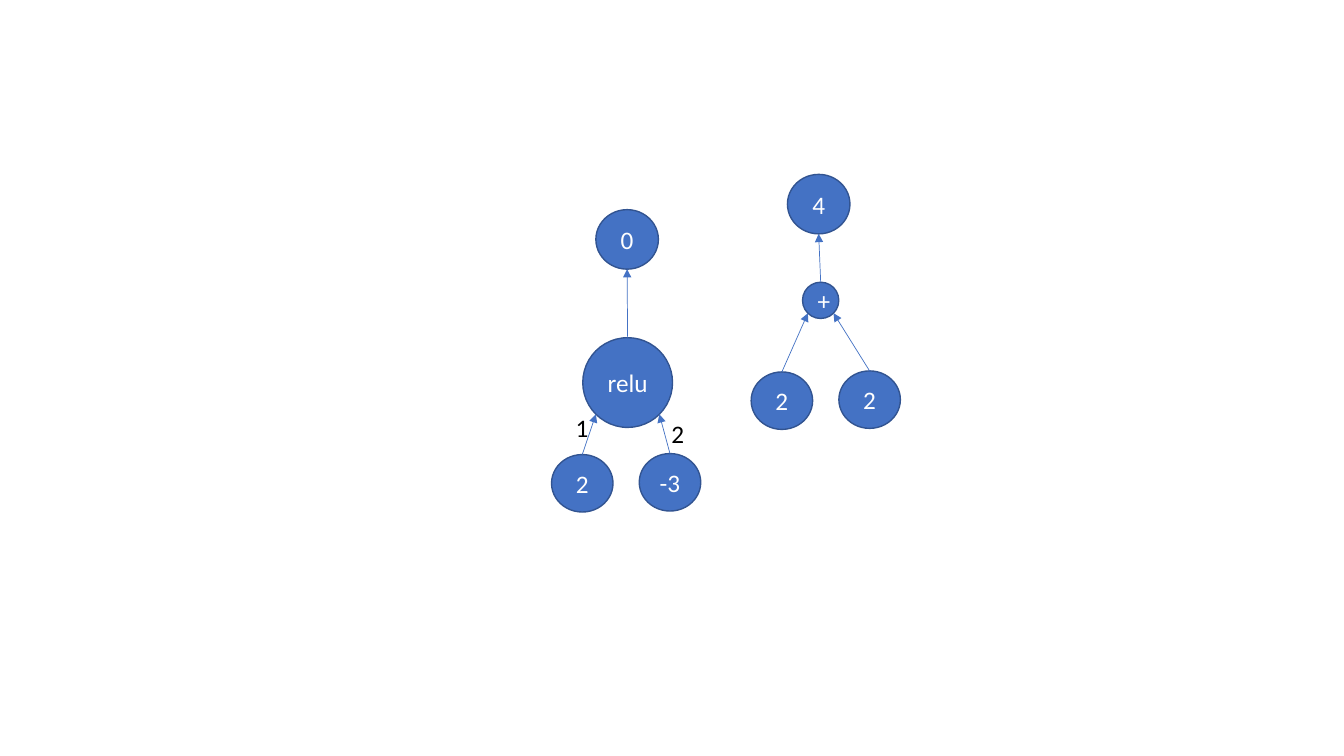
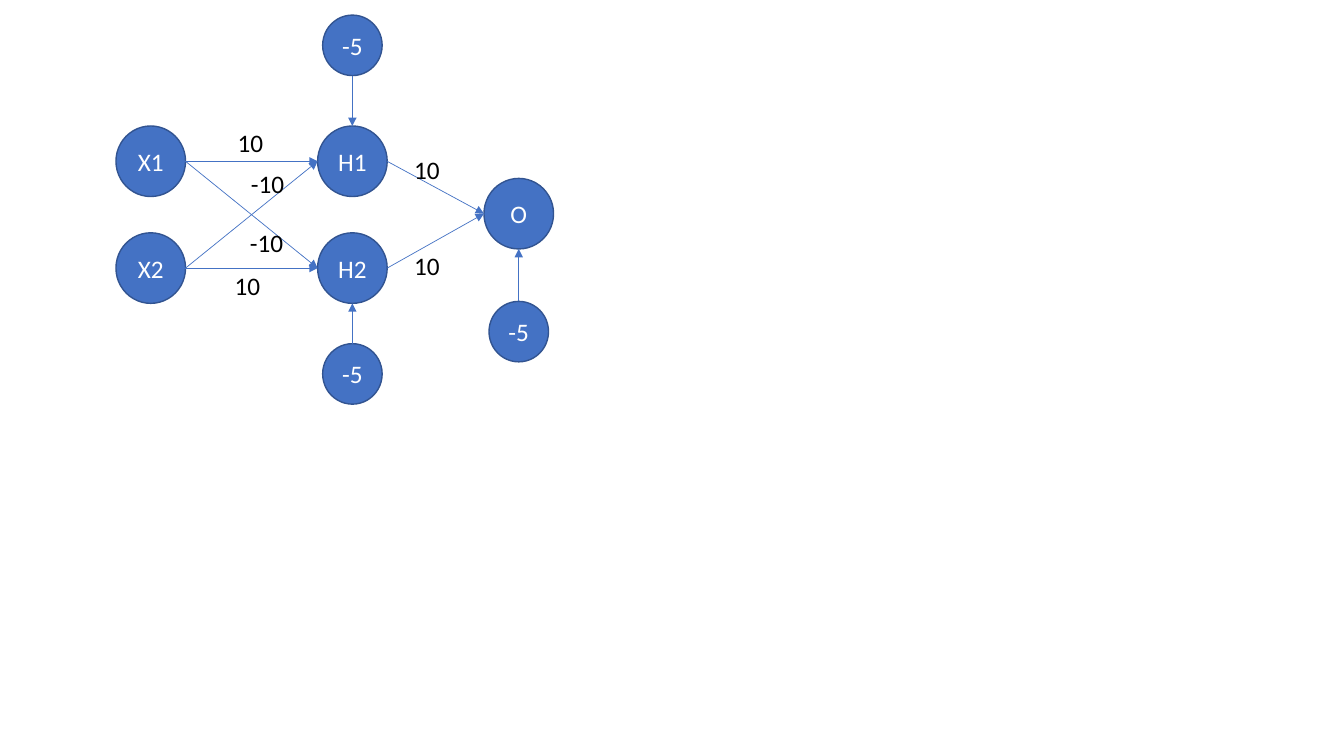
from dataclasses import dataclass
from math import cos, radians, sin

from lxml.etree import SubElement
from pptx import Presentation
from pptx.dml.color import RGBColor
from pptx.enum.shapes import MSO_CONNECTOR, MSO_SHAPE
from pptx.enum.text import MSO_ANCHOR, MSO_AUTO_SIZE, PP_ALIGN
from pptx.oxml.ns import qn
from pptx.util import Inches, Pt


@dataclass(frozen=True)
class Theme:
    node_fill: RGBColor = RGBColor(0x44, 0x72, 0xC4)
    node_outline: RGBColor = RGBColor(0x32, 0x54, 0x91)
    node_text: RGBColor = RGBColor(0xFF, 0xFF, 0xFF)
    label_text: RGBColor = RGBColor(0x00, 0x00, 0x00)
    font: str = "Calibri"
    text_size: Pt = Pt(18)
    outline_width: Pt = Pt(1)
    arrow_width: Pt = Pt(0.5)


THEME = Theme()

# Width and height of each node type, in inches
INPUT = (0.61, 0.57)
RESULT = (0.62, 0.59)
RELU = (0.89, 0.89)
PLUS = (0.36, 0.36)
NEURON = (0.69, 0.70)
BIAS = (0.59, 0.60)

LABEL_HEIGHT = 0.40
LABEL_WIDTHS = {"1": 0.33, "2": 0.33, "10": 0.46, "-10": 0.54}

# Clockwise from the right, in degrees
SITE_ANGLES = {
    "right": 0, "bottom right": 45, "bottom": 90, "bottom left": 135,
    "left": 180, "top": 270,
}


def write_text(shape, text, *, color, align=PP_ALIGN.LEFT,
               anchor=MSO_ANCHOR.TOP, wrap=True, auto_size=MSO_AUTO_SIZE.NONE):
    frame = shape.text_frame
    frame.word_wrap = wrap
    frame.auto_size = auto_size
    frame.vertical_anchor = anchor
    paragraph = frame.paragraphs[0]
    paragraph.alignment = align
    run = paragraph.add_run()
    run.text = text
    run.font.name = THEME.font
    run.font.size = THEME.text_size
    run.font.color.rgb = color


def outline_point(node, site):
    """Return x and y of a named site on the ellipse of a node."""
    angle = radians(SITE_ANGLES[site])
    x = node.left + node.width / 2 * (1 + cos(angle))
    y = node.top + node.height / 2 * (1 + sin(angle))
    return round(x), round(y)


# Nodes: name -> text, left, top, size
# Arrows: start node, start site, end node, end site
# Labels: text, left, top
INPUT_X, HIDDEN_X, OUTPUT_X = 1.15, 3.15, 4.80
UPPER_Y, LOWER_Y = 1.25, 2.31
BIAS_INDENT = (NEURON[0] - BIAS[0]) / 2

diagrams = [
    {
        "nodes": {
            "relu left": ("2", 5.47, 4.51, INPUT),
            "relu right": ("-3", 6.34, 4.50, INPUT),
            "relu": ("relu", 5.78, 3.35, RELU),
            "relu result": ("0", 5.91, 2.08, RESULT),
            "sum left": ("2", 7.45, 3.69, INPUT),
            "sum right": ("2", 8.32, 3.68, INPUT),
            "sum": ("+", 7.96, 2.80, PLUS),
            "sum result": ("4", 7.81, 1.73, RESULT),
        },
        "arrows": [
            arrow
            for unit in ("relu", "sum")
            for arrow in (
                (f"{unit} left", "top", unit, "bottom left"),
                (f"{unit} right", "top", unit, "bottom right"),
                (unit, "top", f"{unit} result", "bottom"),
            )
        ],
        "labels": [("1", 5.61, 4.04), ("2", 6.56, 4.10)],
    },
    {
        "nodes": {
            "X1": ("X1", INPUT_X, UPPER_Y, NEURON),
            "X2": ("X2", INPUT_X, LOWER_Y, NEURON),
            "H1": ("H1", HIDDEN_X, UPPER_Y, NEURON),
            "H2": ("H2", HIDDEN_X, LOWER_Y, NEURON),
            "O": ("O", OUTPUT_X, 1.77, NEURON),
            "H1 bias": ("-5", HIDDEN_X + BIAS_INDENT, 0.15, BIAS),
            "H2 bias": ("-5", HIDDEN_X + BIAS_INDENT, 3.41, BIAS),
            "O bias": ("-5", OUTPUT_X + BIAS_INDENT, 2.99, BIAS),
        },
        "arrows": [
            *[(start, "right", end, "left")
              for starts, ends in ((("X1", "X2"), ("H1", "H2")),
                                   (("H1", "H2"), ("O",)))
              for start in starts
              for end in ends],
            ("H1 bias", "bottom", "H1", "top"),
            ("H2 bias", "top", "H2", "bottom"),
            ("O bias", "top", "O", "bottom"),
        ],
        "labels": [
            ("10", 2.26, 1.21), ("10", 2.23, 2.63),
            ("-10", 2.39, 1.62), ("-10", 2.38, 2.21),
            ("10", 4.01, 1.48), ("10", 4.01, 2.43),
        ],
    },
]

presentation = Presentation()
presentation.slide_width = Inches(13.33)
presentation.slide_height = Inches(7.5)
blank_layout = presentation.slide_layouts[6]

for diagram in diagrams:
    slide = presentation.slides.add_slide(blank_layout)

    nodes = {}
    for name, (text, left, top, (width, height)) in diagram["nodes"].items():
        node = slide.shapes.add_shape(
            MSO_SHAPE.OVAL, Inches(left), Inches(top), Inches(width), Inches(height))
        node.shadow.inherit = False
        node.fill.solid()
        node.fill.fore_color.rgb = THEME.node_fill
        node.line.color.rgb = THEME.node_outline
        node.line.width = THEME.outline_width
        write_text(node, text, color=THEME.node_text,
                   align=PP_ALIGN.CENTER, anchor=MSO_ANCHOR.MIDDLE)
        nodes[name] = node

    for start, start_site, end, end_site in diagram["arrows"]:
        arrow = slide.shapes.add_connector(
            MSO_CONNECTOR.STRAIGHT,
            *outline_point(nodes[start], start_site),
            *outline_point(nodes[end], end_site))
        arrow.line.color.rgb = THEME.node_fill
        arrow.line.width = THEME.arrow_width
        properties = arrow.element.find(qn("p:spPr"))
        SubElement(properties.find(qn("a:ln")), qn("a:tailEnd"), type="triangle")
        SubElement(properties, qn("a:effectLst"))

    for text, left, top in diagram["labels"]:
        label = slide.shapes.add_textbox(
            Inches(left), Inches(top), Inches(LABEL_WIDTHS[text]), Inches(LABEL_HEIGHT))
        write_text(label, text, color=THEME.label_text, wrap=False,
                   auto_size=MSO_AUTO_SIZE.SHAPE_TO_FIT_TEXT)

presentation.save("out.pptx")
